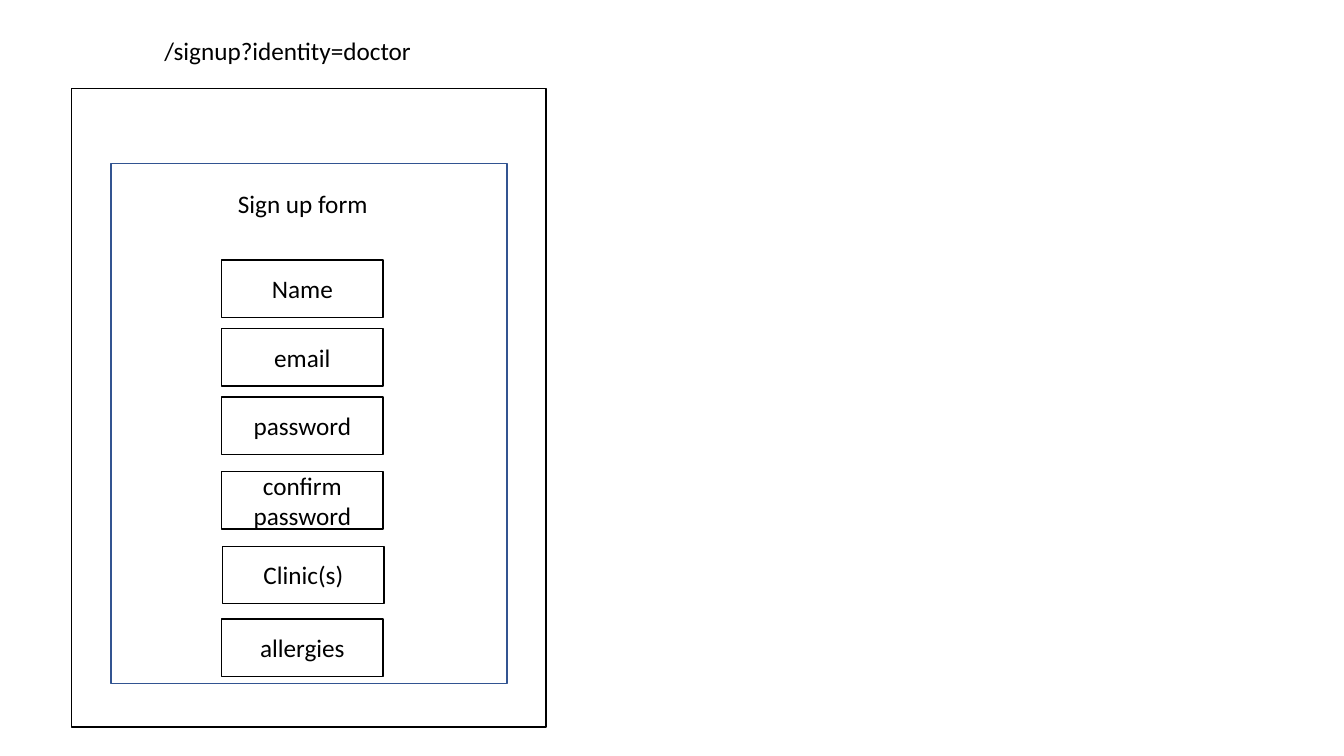
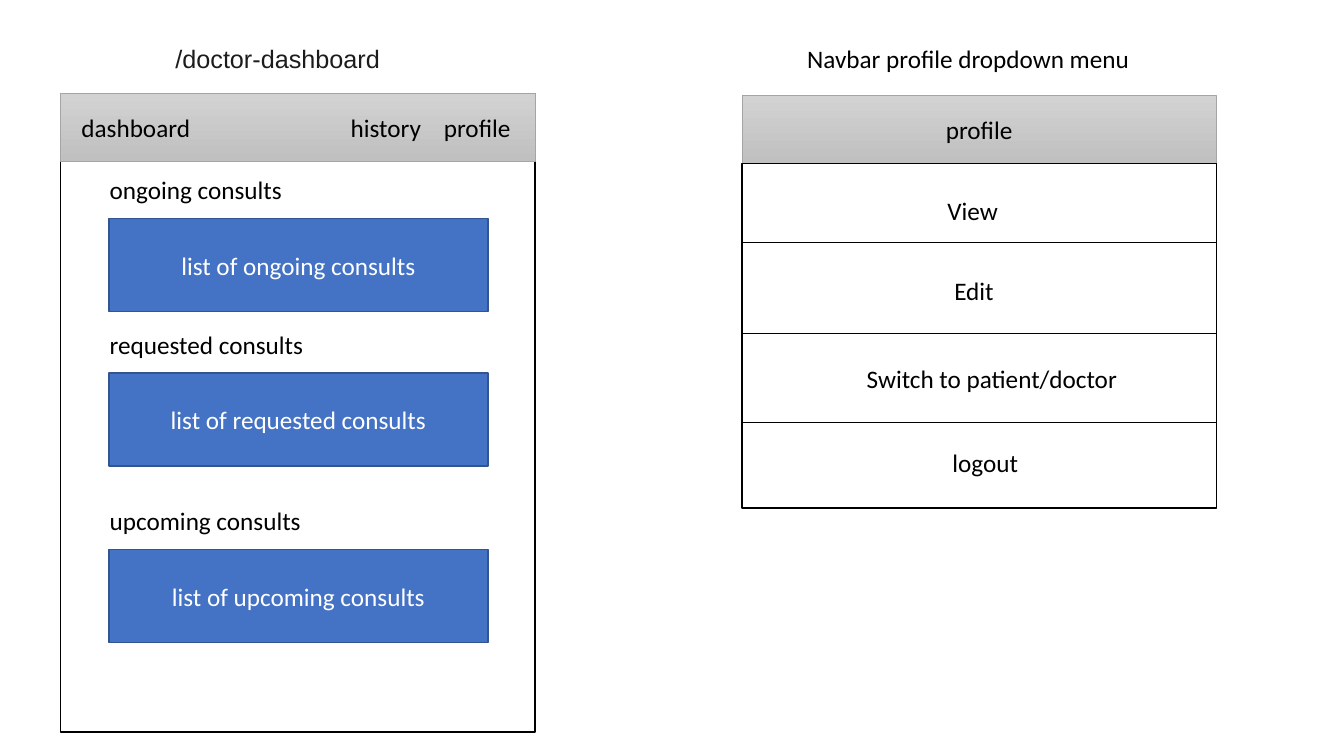
import pptx
import pptx.util
import pptx.dml.color
import pptx.enum.shapes
import pptx.enum.text
import pptx.oxml

Pt = pptx.util.Pt
ALIGN = pptx.enum.text.PP_ALIGN
ANCHOR = pptx.enum.text.MSO_ANCHOR

COLOURS = {
    "black": "000000",
    "white": "FFFFFF",
    "ink": "1D1C1D",
    "blue": "4472C4",
    "dark blue": "325491",
    "bar top": "D2D2D2",
    "bar bottom": "C0C0C0",
    "bar edge": "A5A5A5",
}
RGB = {name: pptx.dml.color.RGBColor.from_string(value) for name, value in COLOURS.items()}
BAR_FILL = ("bar top", "bar bottom")
FRAME_WIDTH = 339
LABEL_HEIGHT = 29


def write_text(shape, text, colour="black", align=ALIGN.LEFT, anchor=ANCHOR.TOP, font="Calibri"):
    """Put one 18 pt run into a shape, text box or title."""
    frame = shape.text_frame
    frame.word_wrap = True
    frame.auto_size = pptx.enum.text.MSO_AUTO_SIZE.NONE
    frame.vertical_anchor = anchor
    paragraph = frame.paragraphs[0]
    paragraph.alignment = align
    run = paragraph.add_run()
    run.text = text
    run.font.name = font
    run.font.size = Pt(18)
    run.font.color.rgb = RGB[colour]


def add_box(slide, left, top, width, height, line, fill=None, text=None, colour="black", weight=1):
    """Rectangle with no fill, a plain fill or a vertical gradient (a pair of colours)."""
    shape = slide.shapes.add_shape(
        pptx.enum.shapes.MSO_SHAPE.RECTANGLE, Pt(left), Pt(top), Pt(width), Pt(height))
    shape.shadow.inherit = False
    shape.line.color.rgb = RGB[line]
    shape.line.width = Pt(weight)
    if fill is None:
        shape.fill.background()
    elif isinstance(fill, tuple):
        shape.fill.gradient()
        shape.fill.gradient_angle = 270
        for stop, name in zip(shape.fill.gradient_stops, fill):
            stop.color.rgb = RGB[name]
    else:
        shape.fill.solid()
        shape.fill.fore_color.rgb = RGB[fill]
    if text:
        write_text(shape, text, colour, ALIGN.CENTER, ANCHOR.MIDDLE)


presentation = pptx.Presentation()
presentation.slide_width = Pt(960)
presentation.slide_height = Pt(540)

# Both slides: the route of the page as title
slides = []
for route, left, top, colour, font in [
    ("/signup?identity=doctor", 110.2, 21.6, "black", "Calibri"),
    ("/doctor-dashboard", 118.1, 27.4, "ink", "Arial"),
]:
    slide = presentation.slides.add_slide(presentation.slide_layouts[5])
    title = slide.shapes.title
    title.left, title.top, title.width, title.height = Pt(left), Pt(top), Pt(202), Pt(LABEL_HEIGHT)
    write_text(title, route, colour, font=font)
    slides.append(slide)
signup, dashboard = slides

# Sign-up page: page frame, form frame and heading
add_box(signup, 51.1, 63.4, FRAME_WIDTH, 456, "black")
add_box(signup, 79.2, 116.8, 283, 371.5, "dark blue")
heading = signup.shapes.add_textbox(Pt(134.6), Pt(131), Pt(163.4), Pt(LABEL_HEIGHT))
write_text(heading, "Sign up form", align=ALIGN.CENTER)

# Sign-up page: form fields
for field, left, top in [
    ("Name", 158.4, 185.8),
    ("email", 158.4, 234.7),
    ("password", 158.4, 283.7),
    ("confirm password", 158.4, 337),
    ("Clinic(s)", 159.1, 390.2),
    ("allergies", 158.4, 442.1),
]:
    add_box(signup, left, top, 115.2, 41, "black", "white", field)

# Dashboard: page frame and navigation bar
add_box(dashboard, 43.2, 67, FRAME_WIDTH, 456, "black")
add_box(dashboard, 43.2, 67, FRAME_WIDTH, 48.2, "bar edge", BAR_FILL, weight=0.5)

# Dashboard: consult lists, each with its label above
labels = []
for kind, top in [("ongoing", 156.2), ("requested", 266.4), ("upcoming", 392.6)]:
    add_box(dashboard, 77.8, top, 270.7, 66.5, "dark blue", "blue", f"list of {kind} consults", "white")
    labels.append((f"{kind} consults", 71.3, top - 35, 278))

# Dropdown menu: profile bar, frame and dividers
menu_left = 529.9
add_box(dashboard, menu_left, 68.4, FRAME_WIDTH, 48.2, "bar edge", BAR_FILL, "profile", weight=0.5)
add_box(dashboard, menu_left, 116.6, FRAME_WIDTH, 246.2, "black")
for divider_top in (172.8, 238.3, 301.7):
    divider = dashboard.shapes.add_connector(
        pptx.enum.shapes.MSO_CONNECTOR.STRAIGHT,
        Pt(menu_left), Pt(divider_top), Pt(menu_left + FRAME_WIDTH), Pt(divider_top))
    divider.line.color.rgb = RGB["black"]
    divider.line.width = Pt(0.5)
    properties = divider._element.spPr
    properties.append(properties.makeelement(pptx.oxml.ns.qn("a:effectLst"), {}))

# Dashboard and menu: free-standing labels
labels += [
    ("dashboard", 51.1, 77, 98.6),
    ("history", 243.4, 77, 70),
    ("profile", 310, 77, 70),
    ("Navbar profile dropdown menu", 569.5, 27.4, 260),
    ("View", 669.6, 136.1, 60),
    ("Edit", 674.6, 193, 60),
    ("Switch to patient/doctor", 612, 255.6, 212.4),
    ("logout", 673.2, 316.1, 73.4),
]
for text, left, top, width in labels:
    label = dashboard.shapes.add_textbox(Pt(left), Pt(top), Pt(width), Pt(LABEL_HEIGHT))
    write_text(label, text)

presentation.save("out.pptx")
